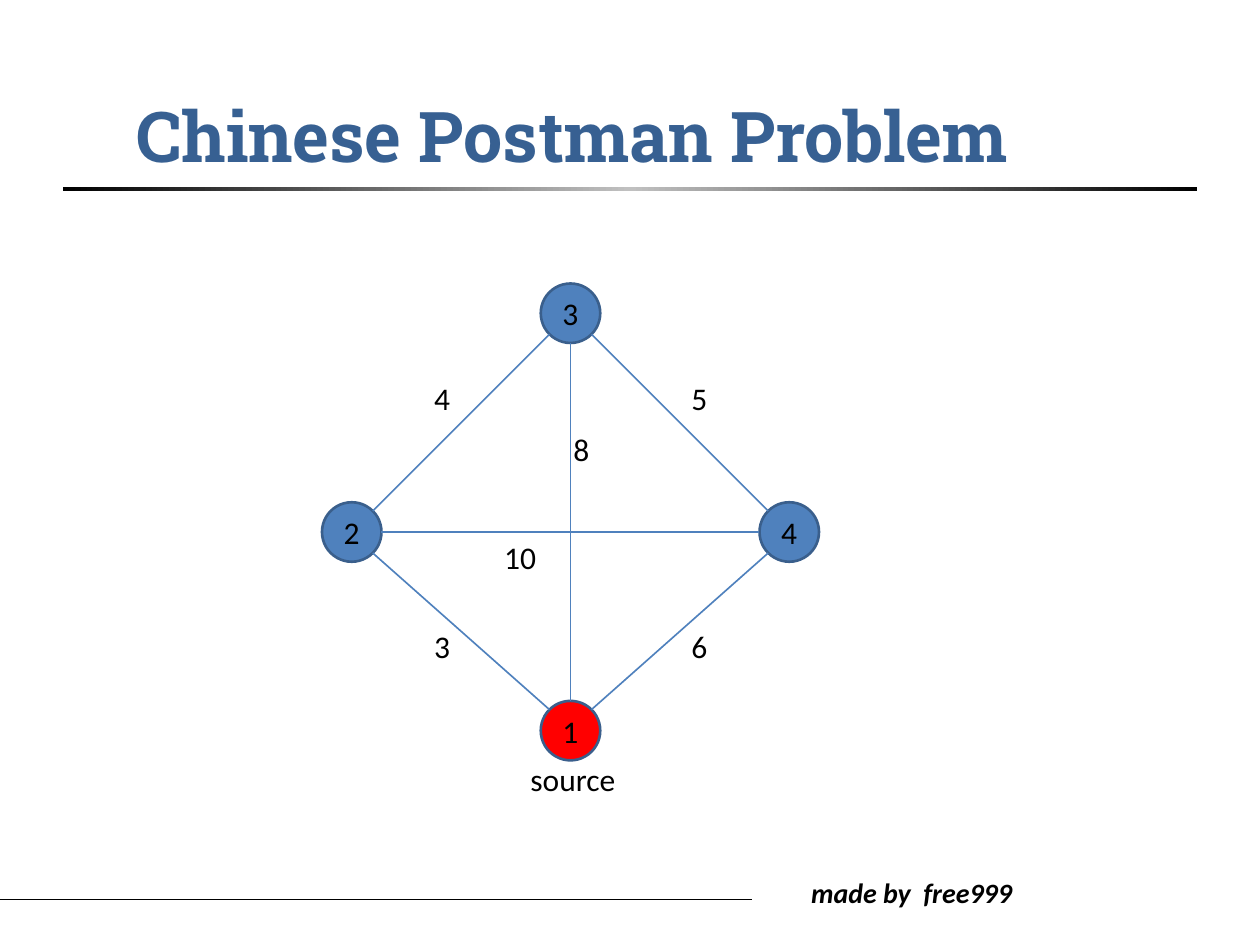
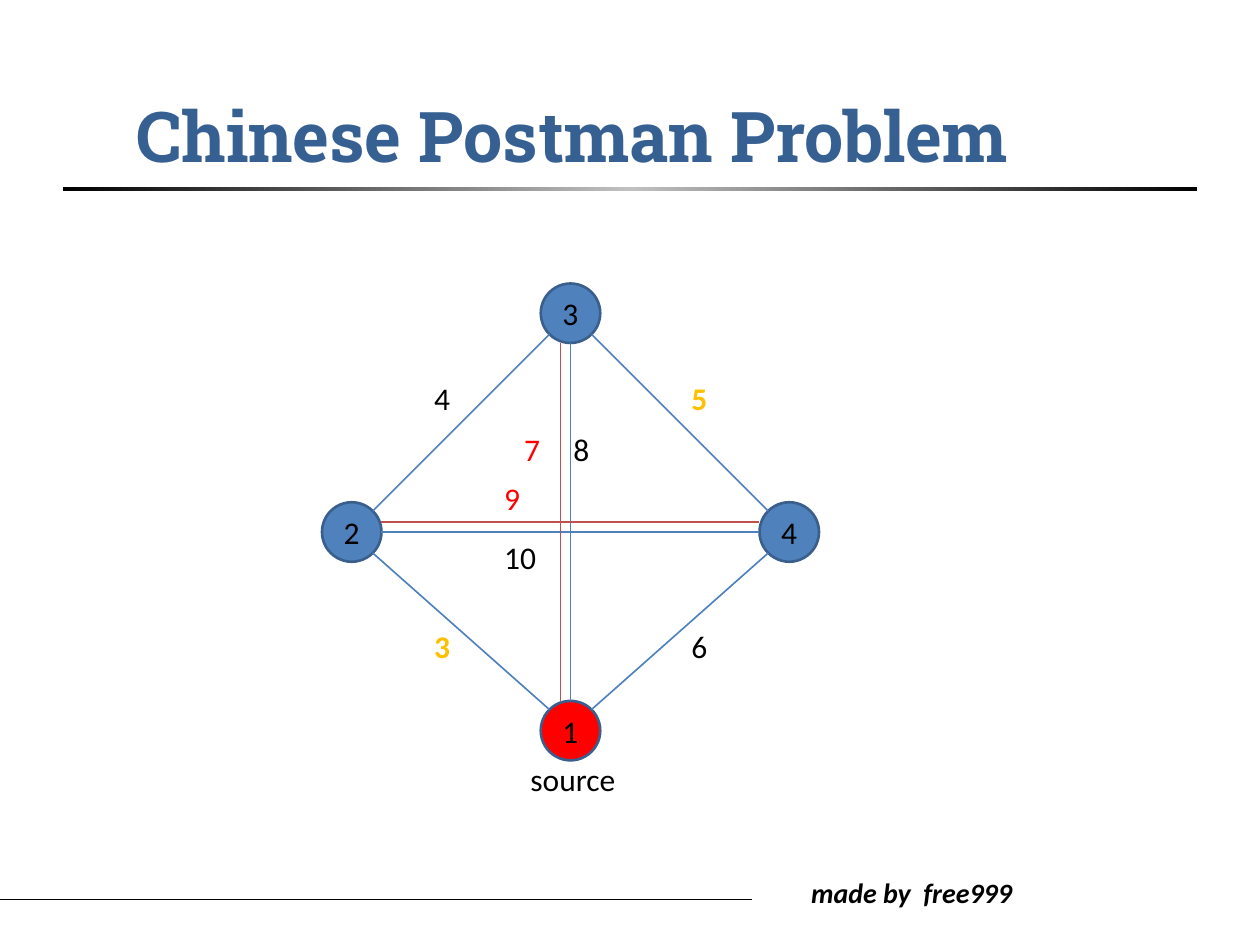
from copy import deepcopy
from math import sqrt

from lxml.etree import SubElement
from pptx import Presentation
from pptx.dml.color import RGBColor
from pptx.enum.shapes import MSO_CONNECTOR as LINK, MSO_SHAPE as FORM
from pptx.enum.text import MSO_ANCHOR as ANCHOR, MSO_AUTO_SIZE as FIT, PP_ALIGN as ALIGN
from pptx.oxml.ns import qn
from pptx.util import Pt

BLACK = RGBColor(0x00, 0x00, 0x00)
SILVER = RGBColor(0xC0, 0xC0, 0xC0)
NAVY = RGBColor(0x37, 0x60, 0x92)
BLUE = RGBColor(0x4F, 0x81, 0xBD)
RIM = RGBColor(0x3A, 0x5F, 0x8C)
RED = RGBColor(0xFF, 0x00, 0x00)
BRICK = RGBColor(0xC0, 0x50, 0x4D)
GOLD = RGBColor(0xFF, 0xC0, 0x00)

BODY, HEAD = "Calibri", "Roboto Slab"
RAD = 17  # node radius
GAP = 5.75  # distance of a shortcut from its edge

# Graph: node centres, edges, and the weight labels (left, top, width)
NODES = {"2": (201, 304), "3": (326, 179), "4": (451, 304), "1": (326, 417.5)}
EDGES = ["23", "21", "34", "14", "31", "24"]
LEFT, RIGHT, HIGH, LOW = 241, 388, 213, 355
COSTS = {
    "3": (LEFT, LOW, 34),
    "4": (LEFT, HIGH, 34),
    "5": (RIGHT, HIGH, 34),
    "6": (RIGHT, LOW, 34),
    "8": (320.5, 242, 34),
    "10": (281, 304, 45),
}
# Shortcuts: edge, shift, weight, label place
CUTS = [
    ("24", (0, -GAP), "9", (281, 270, 28)),
    ("31", (-GAP, 0), "7", (292.5, 242, 28)),
]


def sign(num):
    return (num > 0) - (num < 0)


class Deck:
    def __init__(self):
        self.prs = Presentation()
        self.prs.slide_width, self.prs.slide_height = Pt(720), Pt(540)

    def page(self, title):
        """Start a slide with its footer, rule and title."""
        self.slide = self.prs.slides.add_slide(self.prs.slide_layouts[6])
        self.line((-20, 514), (430, 514), BLACK, 0.5)
        self.text("made by  free999", 456.5, 497, 199, 27, size=16, bold=True, slant=True)
        self.rule(36, 106.75, 648, 2.25)
        box = self.text(title, 3, 31.75, 648, 90, color=NAVY, size=40, bold=True,
                        font=HEAD, align=ALIGN.CENTER)
        box.text_frame.auto_size = FIT.NONE
        box.text_frame.vertical_anchor = ANCHOR.MIDDLE

    def label(self, frame, words, color=BLACK, size=18, bold=False,
              slant=False, font=BODY, align=ALIGN.LEFT):
        frame.text = words
        par = frame.paragraphs[0]
        par.alignment = align
        face = par.runs[0].font
        face.name, face.size = font, Pt(size)
        face.bold, face.italic = bold, slant
        face.color.rgb = color

    def text(self, words, x, y, w, h=29, **style):
        box = self.slide.shapes.add_textbox(Pt(x), Pt(y), Pt(w), Pt(h))
        box.text_frame.word_wrap = True
        box.text_frame.auto_size = FIT.SHAPE_TO_FIT_TEXT
        self.label(box.text_frame, words, **style)
        return box

    def shape(self, form, x, y, w, h):
        item = self.slide.shapes.add_shape(form, Pt(x), Pt(y), Pt(w), Pt(h))
        item.shadow.inherit = False
        return item

    def rule(self, x, y, w, h):
        bar = self.shape(FORM.RECTANGLE, x, y, w, h)
        bar.line.fill.background()
        fill = bar.fill
        fill.gradient()
        fill.gradient_angle = 0
        # The default gradient has two stops; add a third
        stops = next(bar._element.spPr.iter(qn("a:gsLst")))
        stops.append(deepcopy(stops[0]))
        for stop, pos, color in zip(fill.gradient_stops, (0, 0.5, 1), (BLACK, SILVER, BLACK)):
            stop.position, stop.color.rgb = pos, color

    def node(self, name, color):
        x, y = NODES[name]
        disc = self.shape(FORM.OVAL, x - RAD, y - RAD, 2 * RAD, 2 * RAD)
        disc.fill.solid()
        disc.fill.fore_color.rgb = color
        disc.line.color.rgb, disc.line.width = RIM, Pt(1.5)
        disc.text_frame.vertical_anchor = ANCHOR.MIDDLE
        self.label(disc.text_frame, name, align=ALIGN.CENTER)

    def line(self, start, end, color, width=0.94):
        wire = self.slide.shapes.add_connector(LINK.STRAIGHT, *map(Pt, start + end))
        wire.line.color.rgb, wire.line.width = color, Pt(width)
        SubElement(wire._element.spPr, qn("a:effectLst"))

    def edge(self, pair, color=BLUE, shift=(0, 0)):
        """Join two nodes from rim to rim, straight or on the diagonal."""
        (ax, ay), (bx, by) = (NODES[name] for name in pair)
        dx, dy = sign(bx - ax), sign(by - ay)
        step = RAD / sqrt(2) if dx and dy else RAD
        sx, sy = shift
        self.line((ax + dx * step + sx, ay + dy * step + sy),
                  (bx - dx * step + sx, by - dy * step + sy), color)

    def graph(self, marked=()):
        for name in NODES:
            self.node(name, RED if name == "1" else BLUE)
        for pair in EDGES:
            self.edge(pair)
        self.text("source", 296, 430.5, 108)
        for cost, place in COSTS.items():
            hit = cost in marked
            self.text(cost, *place, color=GOLD if hit else BLACK, bold=hit)


def main():
    deck = Deck()
    title = "Chinese Postman Problem"

    # Slide 1: the weighted graph
    deck.page(title)
    deck.graph()

    # Slide 2: the graph with its shortcuts
    deck.page(title)
    deck.graph(marked=("3", "5"))
    for pair, shift, cost, place in CUTS:
        deck.edge(pair, BRICK, shift)
        deck.text(cost, *place, color=RED)

    deck.prs.save("out.pptx")


if __name__ == "__main__":
    main()
